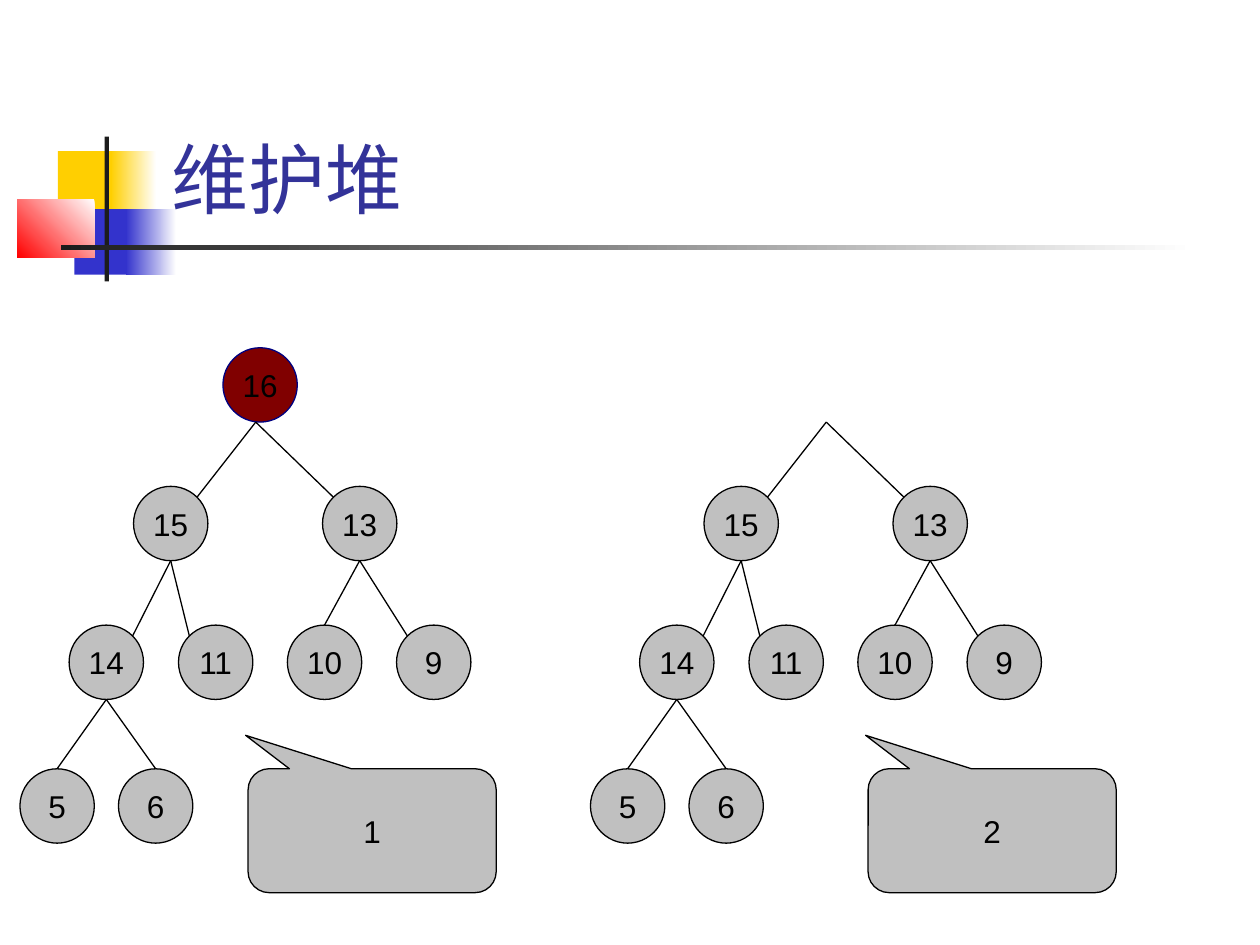
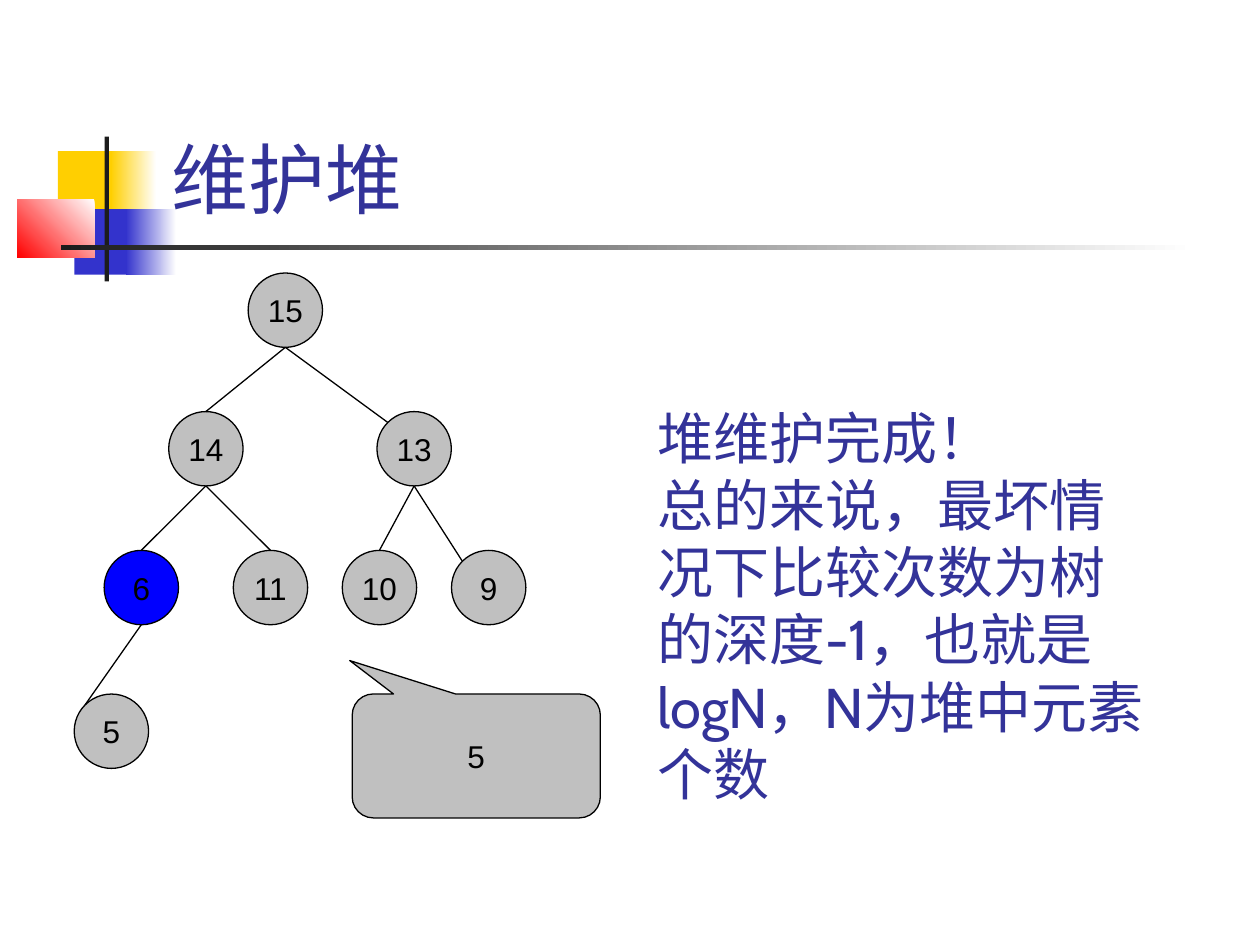
"""Builds two slides that show how a max-heap is maintained after its root is removed."""
import pptx
import pptx.dml.color
import pptx.enum.shapes
import pptx.enum.text
import pptx.oxml.ns
import pptx.util
from lxml import etree

Pt = pptx.util.Pt
SHAPE = pptx.enum.shapes.MSO_SHAPE
ALIGN = pptx.enum.text.PP_ALIGN
ANCHOR = pptx.enum.text.MSO_ANCHOR

WHITE, BLACK, GREY, INDIGO = "FFFFFF", "000000", "C0C0C0", "333399"
YELLOW, BLUE, RED, CHARCOAL = "FFCF01", "3333CC", "FF0000", "1C1C1C"
DIAMETER = 42.5
CORNER = 0.146 * DIAMETER
LEVELS = [198.7, 277.9, 357.2, 439.3]
CALLOUT_SIZE = (141.8, 70.8)


def paint(color_format, hex_string):
    color_format.rgb = pptx.dml.color.RGBColor.from_string(hex_string)


def write(paragraph, text, font_name, size, hex_string):
    run = paragraph.add_run()
    run.text = text
    run.font.name = font_name
    run.font.size = Pt(size)
    paint(run.font.color, hex_string)


deck = pptx.Presentation()
deck.slide_width, deck.slide_height = Pt(720), Pt(540)
layout = deck.slide_layouts[5]
heap_title = layout.placeholders[0]
heap_title.left, heap_title.top = Pt(90.7), Pt(16.6)
heap_title.width, heap_title.height = Pt(613.4), Pt(115.2)
slides = [deck.slides.add_slide(layout) for _ in range(2)]

ornaments = [
    (33.1, 86.4, 34.6, 37.4, YELLOW, None),
    (63.4, 86.4, 25.9, 37.4, YELLOW, 180),
    (42.5, 119.5, 33.1, 37.4, BLUE, None),
    (72, 119.5, 28.8, 37.4, BLUE, 180),
    (9.8, 113.8, 44.2, 33.4, RED, 225),
    (59.8, 78, 2.5, 82.8, CHARCOAL, None),
    (34.7, 140.2, 648, 2.5, CHARCOAL, 180),
]
for order, (left, top, width, height, color, angle) in enumerate(ornaments):
    ornament = slides[0].shapes.add_shape(SHAPE.RECTANGLE, Pt(left), Pt(top), Pt(width), Pt(height))
    ornament.shadow.inherit = False
    ornament.line.fill.background()
    if angle is None:
        ornament.fill.solid()
        paint(ornament.fill.fore_color, color)
    else:
        ornament.fill.gradient()
        ornament.fill.gradient_angle = angle
        for stop, stop_color in zip(ornament.fill.gradient_stops, (WHITE, color)):
            paint(stop.color, stop_color)
    ornament._element.nvSpPr.cNvPr.set("id", str(100 + order))
    layout.shapes._spTree.insert(2 + order, ornament._element)

for slide in slides:
    title_frame = slide.shapes.title.text_frame
    title_frame.vertical_anchor = ANCHOR.BOTTOM
    title_frame.auto_size = pptx.enum.text.MSO_AUTO_SIZE.NONE
    title_frame.paragraphs[0].alignment = ALIGN.LEFT
    write(title_frame.paragraphs[0], "维护堆", "Cabin", 44, INDIGO)

full_heap = {
    "16": (127.4, 0), "15": (76.3, 1), "13": (184.3, 1),
    "14": (39.5, 2), "11": (102, 2), "10": (164.2, 2), "9": (226.6, 2),
    "5": (11.4, 3), "6": (67.7, 3),
}
full_edges = [
    ("16", "15", "right"), ("16", "13", "left"),
    ("15", "14", "right"), ("15", "11", "left"),
    ("13", "10", "top"), ("13", "9", "left"),
    ("14", "5", "top"), ("14", "6", "top"),
]
repaired_heap = {
    "15": (141.8, 0), "14": (96.4, 1), "13": (215.4, 1),
    "6": (59.5, 2), "11": (133.3, 2), "10": (195.6, 2), "9": (258, 2),
    "5": (42.4, 3),
}
repaired_edges = [
    ("15", "14", "top"), ("15", "13", "left"),
    ("14", "6", "top"), ("14", "11", "top"),
    ("13", "10", "top"), ("13", "9", "left"), ("6", "5", "left"),
]
landing = {
    "left": (CORNER, CORNER),
    "top": (DIAMETER / 2, 0),
    "right": (DIAMETER - CORNER, CORNER),
}
stages = [
    (slides[0], full_heap, full_edges, 0, 0, {"16": "800000"}, "", "1", 141.8),
    (slides[0], full_heap, full_edges, 326, 0, {}, "16", "2", 496.1),
    (slides[1], repaired_heap, repaired_edges, 0, -42.7, {"6": "0000FF"}, "", "5", 201.3),
]
for slide, heap, edges, shift_x, shift_y, highlights, removed, step, step_left in stages:
    places = {key: (x + shift_x, LEVELS[level] + shift_y) for key, (x, level) in heap.items()}
    labelled = [
        (SHAPE.OVAL, x, y, DIAMETER, DIAMETER, key, highlights.get(key, GREY))
        for key, (x, y) in places.items() if key != removed
    ]
    labelled.append((SHAPE.ROUNDED_RECTANGULAR_CALLOUT, step_left, LEVELS[3] + shift_y,
                     *CALLOUT_SIZE, step, GREY))
    for kind, x, y, width, height, label, color in labelled:
        node = slide.shapes.add_shape(kind, Pt(x), Pt(y), Pt(width), Pt(height))
        node.shadow.inherit = False
        node.fill.solid()
        paint(node.fill.fore_color, color)
        paint(node.line.color, "000080" if label == "16" else BLACK)
        node.line.width = Pt(0.75)
        if kind == SHAPE.ROUNDED_RECTANGULAR_CALLOUT:
            for index, value in enumerate((-0.51, -0.77, 0.17)):
                node.adjustments[index] = value
        node.text_frame.word_wrap = False
        node.text_frame.vertical_anchor = ANCHOR.MIDDLE
        node.text_frame.paragraphs[0].alignment = ALIGN.CENTER
        write(node.text_frame.paragraphs[0], label, "Arial", 18, BLACK)

    for parent, child, side in edges:
        parent_x, parent_y = places[parent]
        child_x, child_y = places[child]
        offset_x, offset_y = landing[side]
        joint_x = parent_x + DIAMETER / 2 - (2.5 if parent == "16" else 0)
        edge = slide.shapes.add_connector(
            pptx.enum.shapes.MSO_CONNECTOR.STRAIGHT,
            Pt(joint_x), Pt(parent_y + DIAMETER), Pt(child_x + offset_x), Pt(child_y + offset_y))
        paint(edge.line.color, BLACK)
        edge.line.width = Pt(0.75)
        etree.SubElement(edge._element.spPr, pptx.oxml.ns.qn("a:effectLst"))

conclusion = slides[1].shapes.add_textbox(Pt(368.6), Pt(226.8), Pt(297.4), Pt(237.6)).text_frame
conclusion.word_wrap = True
conclusion.vertical_anchor = ANCHOR.BOTTOM
summary = conclusion.paragraphs[0]
write(summary, "堆维护完成！", "Cabin", 32, INDIGO)
summary.add_line_break()
write(summary, "总的来说，最坏情况下比较次数为树的深度-1，也就是logN，N为堆中元素个数", "Cabin", 32, INDIGO)

deck.save("out.pptx")
